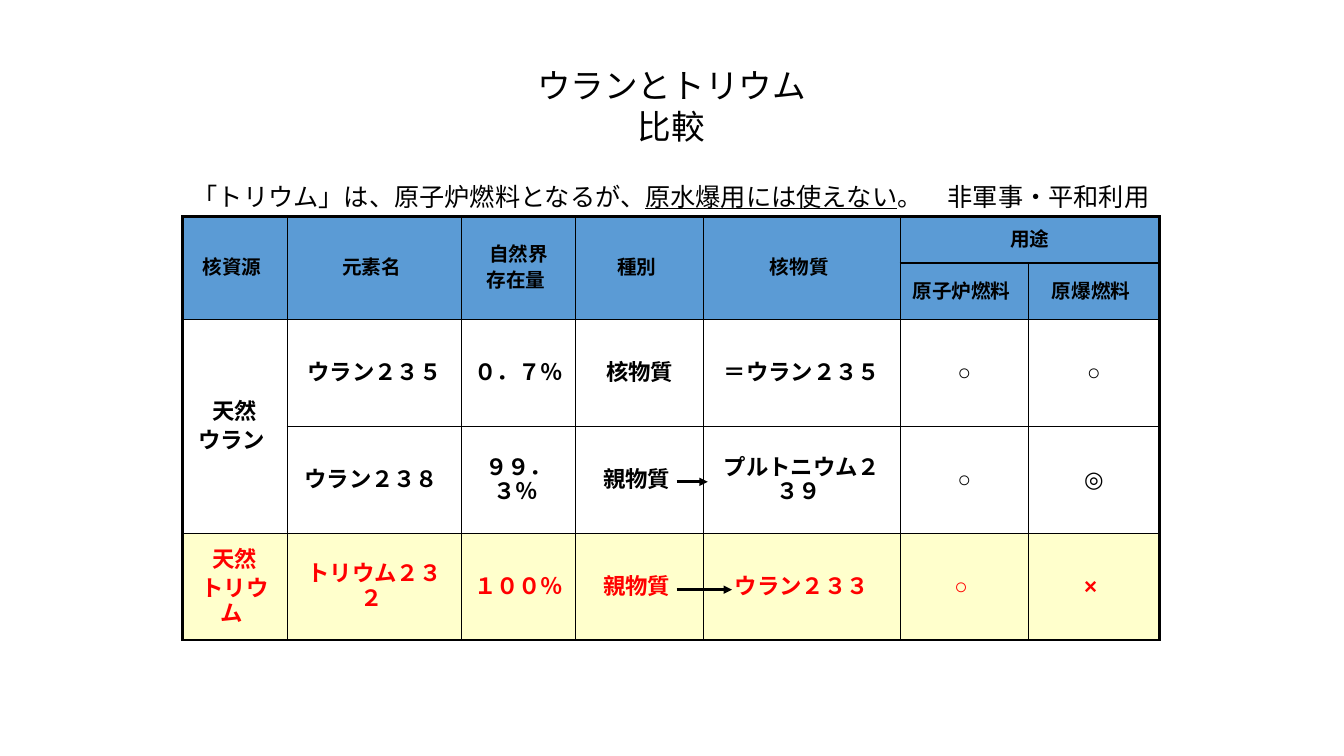
from lxml import etree
from pptx import Presentation
from pptx import util as u
from pptx.dml.color import RGBColor
from pptx.enum import shapes, text
from pptx.oxml import ns

COLORS = {"ink": "000000", "header": "5B9BD5", "thorium": "FFFFCC", "accent": "FF0000"}
TABLE_LEFT, TABLE_TOP = 1.81, 2.15
COLUMNS = [1.04, 1.73, 1.13, 1.27, 1.95, 1.27, 1.3]
ROWS = [0.46, 0.56, 1.06, 1.06, 1.06]
HEADER_ROWS = 2
THORIUM_ROW = 4
CELLS = [
    ["核資源 ", "元素名 ", "自然界\n存在量 ", "種別 ", "核物質 ", "用途", ""],
    ["", "", "", "", "", "原子炉燃料 ", "原爆燃料 "],
    ["天然\nウラン ", "ウラン２３５", "０．７％", "核物質", "＝ウラン２３５", "○", "○"],
    ["", "ウラン２３８ ", "９９．３％ ", "親物質 ", "プルトニウム２３９ ", "○", "◎"],
    ["天然\nトリウム ", "トリウム２３２ ", "１００％ ", "親物質 ", "ウラン２３３", "○ ", "× "],
]
# Merged areas as first row, first column, last row, last column
MERGES = [(0, column, 1, column) for column in range(5)] + [(0, 5, 0, 6), (2, 0, 3, 0)]
CAPTION = [
    ("「トリウム」は、原子炉燃料となるが、", False),
    ("原水爆用には使えない", True),
    ("。　非軍事・平和利用", False),
]


def color(name):
    """Return a named colour of the slide."""
    return RGBColor.from_string(COLORS[name])


def format_paragraph(paragraph, font_name, size, ink="ink", bold=False):
    """Centre a paragraph and format all its runs."""
    paragraph.alignment = text.PP_ALIGN.CENTER
    for run in paragraph.runs:
        run.font.name = font_name
        run.font.size = u.Pt(size)
        run.font.bold = bold
        run.font.color.rgb = color(ink)
        east_asian = etree.SubElement(run.font._element, ns.qn("a:ea"))
        east_asian.set("typeface", font_name)


def place(shape, left, top, width, height):
    """Move and size a shape, in inches."""
    shape.left, shape.top = u.Inches(left), u.Inches(top)
    shape.width, shape.height = u.Inches(width), u.Inches(height)


def add_title(slide):
    """Fill the title placeholder with two centred lines."""
    title = slide.shapes.title
    place(title, 3.84, 0.59, 5.64, 0.91)
    frame = title.text_frame
    frame.text = "ウランとトリウム\n比較"
    frame.auto_size = text.MSO_AUTO_SIZE.NONE
    frame.vertical_anchor = text.MSO_ANCHOR.TOP
    for paragraph in frame.paragraphs:
        paragraph.line_spacing = u.Pt(29)
        paragraph.space_before = u.Pt(0)
        format_paragraph(paragraph, "Noto Sans CJK JP", 24)


def add_caption(slide):
    """Add the sentence above the table, with its underlined part."""
    box = slide.shapes.add_textbox(0, 0, 0, 0)
    place(box, TABLE_LEFT, TABLE_TOP - 0.4, sum(COLUMNS), 0.4)
    box.text_frame.word_wrap = False
    paragraph = box.text_frame.paragraphs[0]
    paragraph.line_spacing = u.Pt(21.6)
    for words, underlined in CAPTION:
        run = paragraph.add_run()
        run.text = words
        run.font.underline = underlined
    format_paragraph(paragraph, "Karla", 18)


def set_borders(cell, row, column):
    """Draw the cell's edges, thicker along the table's outline."""
    outer = {
        "L": column == 0,
        "R": column + cell.span_width == len(COLUMNS),
        "T": row == 0,
        "B": row + cell.span_height == len(ROWS),
    }
    properties = cell._tc.get_or_add_tcPr()
    for position, (side, is_outer) in enumerate(outer.items()):
        line = etree.Element(ns.qn(f"a:ln{side}"), w=str(u.Pt(2.25 if is_outer else 1)))
        fill = etree.SubElement(line, ns.qn("a:solidFill"))
        etree.SubElement(fill, ns.qn("a:srgbClr"), val=COLORS["ink"])
        properties.insert(position, line)


def format_cell(cell, row, column):
    """Write and format one cell according to its row."""
    is_header, is_thorium = row < HEADER_ROWS, row == THORIUM_ROW
    size = 14 if is_header else 16
    cell.text_frame.text = CELLS[row][column]
    cell.vertical_anchor = text.MSO_ANCHOR.MIDDLE
    cell.margin_top = cell.margin_bottom = 0
    for paragraph in cell.text_frame.paragraphs:
        paragraph.space_before = u.Pt(size * 0.2)
        format_paragraph(paragraph, "Arial", size, "accent" if is_thorium else "ink", True)
    if is_header or is_thorium:
        cell.fill.solid()
        cell.fill.fore_color.rgb = color("header" if is_header else "thorium")
    else:
        cell.fill.background()
    set_borders(cell, row, column)


def add_comparison_table(slide):
    """Add the table comparing uranium and thorium."""
    frame = slide.shapes.add_table(len(ROWS), len(COLUMNS), 0, 0, 0, 0)
    place(frame, TABLE_LEFT, TABLE_TOP, sum(COLUMNS), sum(ROWS))
    table = frame.table
    table.first_row = table.horz_banding = False
    for column, width in zip(table.columns, COLUMNS):
        column.width = u.Inches(width)
    for row, height in zip(table.rows, ROWS):
        row.height = u.Inches(height)
    for top, left, bottom, right in MERGES:
        table.cell(top, left).merge(table.cell(bottom, right))
    for row in range(len(ROWS)):
        for column in range(len(COLUMNS)):
            format_cell(table.cell(row, column), row, column)


def add_arrow(slide, row, length):
    """Add an arrow from the fertile material to its product in a table row."""
    left = TABLE_LEFT + sum(COLUMNS[:4]) - 0.27
    top = TABLE_TOP + sum(ROWS[:row]) + ROWS[row] / 2
    top += 0.03 if row == THORIUM_ROW else 0.03 - 0.01
    arrow = slide.shapes.add_connector(
        shapes.MSO_CONNECTOR.STRAIGHT,
        u.Inches(left), u.Inches(top), u.Inches(left + length), u.Inches(top))
    arrow.line.color.rgb = color("ink")
    arrow.line.width = u.Pt(2)
    etree.SubElement(arrow.line._get_or_add_ln(), ns.qn("a:tailEnd"), type="triangle")
    etree.SubElement(arrow._element.spPr, ns.qn("a:effectLst"))


def main():
    """Build the slide and save it."""
    presentation = Presentation()
    presentation.slide_width = u.Inches(13.33)
    presentation.slide_height = u.Inches(7.5)
    slide = presentation.slides.add_slide(presentation.slide_layouts[5])
    add_caption(slide)
    add_comparison_table(slide)
    add_arrow(slide, 3, 0.31)
    add_arrow(slide, THORIUM_ROW, 0.55)
    add_title(slide)
    presentation.save("out.pptx")


main()
